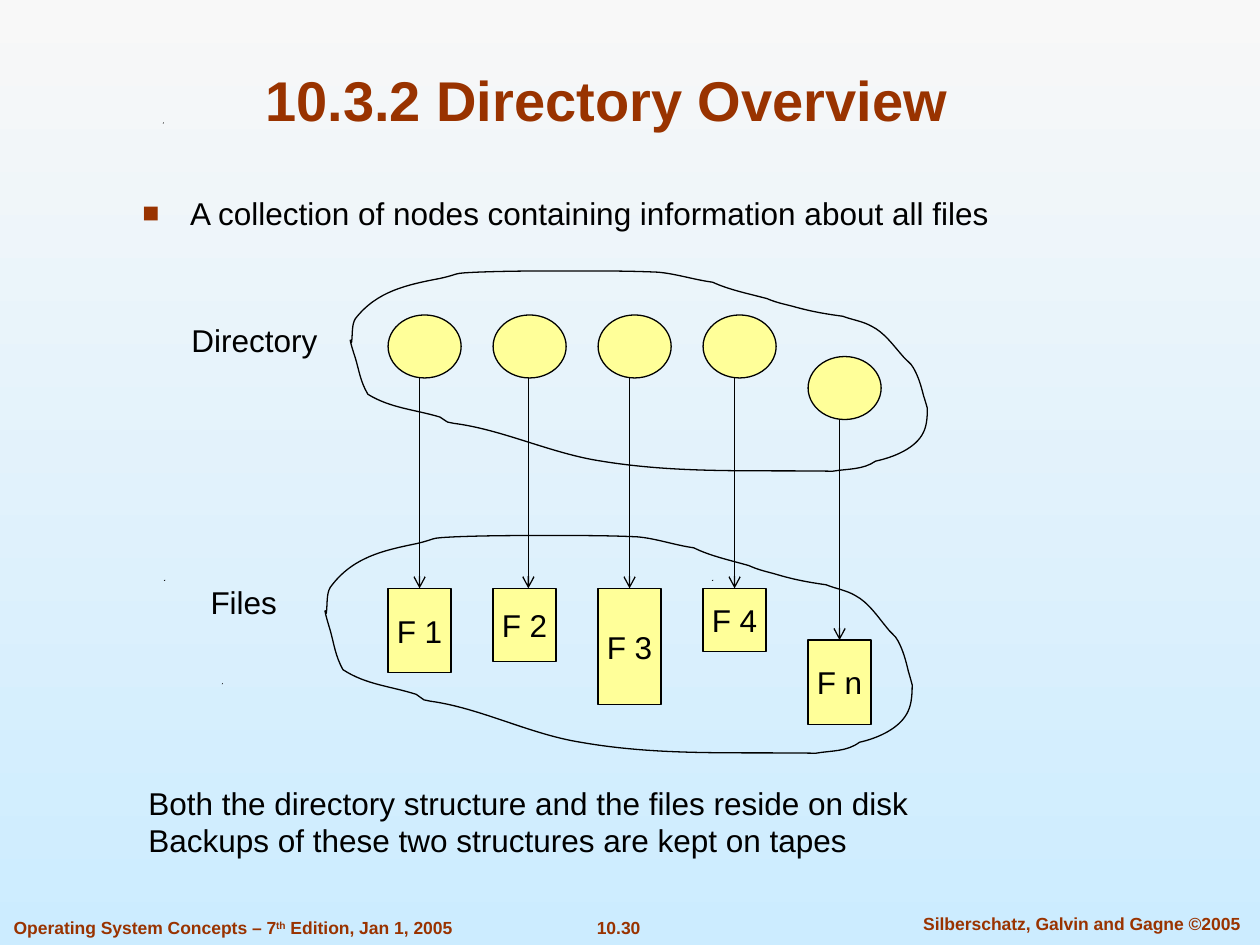
from lxml import etree
from pptx import Presentation
from pptx import util as u
from pptx.dml.color import RGBColor
from pptx.enum import shapes as sh, text as tx
from pptx.oxml import ns

RUST = RGBColor(0x99, 0x33, 0x00)
BLACK = RGBColor(0, 0, 0)
YELLOW = RGBColor(0xFF, 0xFF, 0x99)
PALE = RGBColor(0xF8, 0xF8, 0xF8)
SKY = RGBColor(0xCC, 0xEC, 0xFF)
STEP = 5 / 6
FILES = [("F 1", 0, 0.67, 0.25), ("F 2", 0, 0.58, 0.28), ("F 3", 0, 0.92, 0.25),
         ("F 4", 0, 0.5, 0.25), ("F n", 1, 0.67, 0.25)]
SPECKS = [(1.76, 5.42), (1.3, 4.6), (5.65, 4.6), (1.29, 0.97)]
START = (0.01, 0.57)
CURVES = [
    (0.02, 0.5, 0.01, 0.43, 0.04, 0.38), (0.21, 0.16, 0.45, 0.11, 0.71, 0.06),
    (0.89, 0.02, 0.79, 0.02, 1.01, 0.01), (1.26, 0, 1.51, 0, 1.77, 0),
    (1.99, 0, 2.21, 0, 2.43, 0.01), (2.57, 0.02, 2.72, 0.07, 2.87, 0.09),
    (3, 0.15, 3.15, 0.18, 3.3, 0.22), (3.37, 0.25, 3.42, 0.26, 3.5, 0.28),
    (3.64, 0.32, 3.75, 0.34, 3.9, 0.36), (3.98, 0.39, 4.06, 0.4, 4.13, 0.44),
    (4.23, 0.49, 4.3, 0.59, 4.37, 0.67), (4.4, 0.71, 4.44, 0.73, 4.46, 0.77),
    (4.5, 0.84, 4.52, 0.91, 4.54, 0.99), (4.55, 1.02, 4.57, 1.09, 4.57, 1.09),
    (4.57, 1.13, 4.57, 1.22, 4.54, 1.28), (4.48, 1.41, 4.3, 1.48, 4.16, 1.51),
    (4.06, 1.58, 3.94, 1.57, 3.82, 1.59), (3.18, 1.58, 2.6, 1.61, 1.99, 1.51),
    (1.59, 1.45, 1.21, 1.26, 0.82, 1.21), (0.8, 1.21, 0.79, 1.2, 0.77, 1.2),
    (0.75, 1.19, 0.73, 1.17, 0.71, 1.16), (0.51, 1.1, 0.32, 1.09, 0.14, 0.98),
    (0.08, 0.88, 0.07, 0.79, 0.04, 0.69), (0.04, 0.69, 0, 0.57, 0, 0.55),
    (0, 0.54, 0.01, 0.56, 0.01, 0.57)]


def place(shape, box):
    """Move a shape to a box given in inches."""
    shape.left, shape.top, shape.width, shape.height = map(u.Inches, box)


def style(font, size, color=BLACK, bold=False):
    """Set the look of a font."""
    font.name, font.size, font.bold = "Arial", u.Pt(size), bold
    font.color.rgb = color


def write(shape, lines, size, color=BLACK, bold=False, align=tx.PP_ALIGN.CENTER,
          wrap=False, anchor=tx.MSO_ANCHOR.MIDDLE):
    """Fill a shape with lines of one style."""
    frame = shape.text_frame
    frame.text = "\n".join(lines)
    frame.word_wrap, frame.vertical_anchor = wrap, anchor
    frame.auto_size = tx.MSO_AUTO_SIZE.NONE
    for para in frame.paragraphs:
        para.alignment = align
        for run in para.runs:
            style(run.font, size, color, bold)


def label(slide, box, lines, size=18, **look):
    """Add a text box."""
    item = slide.shapes.add_textbox(*map(u.Inches, box))
    write(item, lines, size, **look)
    return item


def edge(item):
    """Give a shape a thin black line."""
    item.line.color.rgb, item.line.width = BLACK, u.Pt(0.75)


def solid(slide, kind, box):
    """Add a yellow shape with a thin black edge."""
    item = slide.shapes.add_shape(kind, *map(u.Inches, box))
    item.shadow.inherit = False
    item.fill.solid()
    item.fill.fore_color.rgb = YELLOW
    edge(item)
    return item


def arrow(slide, x, top, end):
    """Add an arrow straight down."""
    item = slide.shapes.add_connector(
        sh.MSO_CONNECTOR.STRAIGHT, *map(u.Inches, (x, top, x, end)))
    edge(item)
    props = item._element.spPr
    etree.SubElement(props.find(ns.qn("a:ln")), ns.qn("a:tailEnd")).set("type", "arrow")
    etree.SubElement(props, ns.qn("a:effectLst"))


def outline(slide, points):
    """Add a closed freeform through points in inches."""
    spots = [(u.Inches(x), u.Inches(y)) for x, y in points]
    pen = slide.shapes.build_freeform(*spots[0])
    pen.add_line_segments(spots[1:], close=True)
    item = pen.convert_to_shape()
    item.shadow.inherit = False
    return item


def specks(slide, spots):
    """Add the tiny black specks of the backdrop."""
    for x, y in spots:
        item = outline(slide, [(x, y + 0.01), (x + 0.01, y), (x + 0.01, y + 0.01)])
        item.fill.solid()
        item.fill.fore_color.rgb = BLACK
        item.line.fill.background()


def cloud(slide, box):
    """Draw the curved cloud outline scaled to a box."""
    left, top, wide, high = box
    pairs = [START] + [c[i:i + 2] for c in CURVES for i in (0, 2, 4)]
    item = outline(slide, [(left + x * wide / 4.57, top + y * high / 1.61)
                           for x, y in pairs])
    legs = list(item._element.iter(ns.qn("a:lnTo")))
    for i in range(0, len(CURVES) * 3, 3):
        curve = etree.Element(ns.qn("a:cubicBezTo"))
        legs[i].addprevious(curve)
        for leg in legs[i:i + 3]:
            curve.append(leg[0])
            leg.getparent().remove(leg)
    item.fill.background()
    edge(item)


def heading(slide, box):
    """Fill the title."""
    title = slide.shapes.title
    place(title, box)
    write(title, ["10.3.2 Directory Overview"], 32, RUST, True, wrap=True,
          anchor=tx.MSO_ANCHOR.BOTTOM)


def bullets(slide, box):
    """Fill the body with its square bullet."""
    body = slide.placeholders[1]
    place(body, box)
    write(body, ["A collection of nodes containing information about all files"],
          18, align=tx.PP_ALIGN.LEFT, wrap=True, anchor=tx.MSO_ANCHOR.TOP)
    para = body.text_frame.paragraphs[0]
    props = para._p.get_or_add_pPr()
    props.set("marL", str(u.Inches(0.38)))
    props.set("indent", str(u.Inches(-0.38)))
    color = etree.SubElement(props, ns.qn("a:buClr"))
    etree.SubElement(color, ns.qn("a:srgbClr")).set("val", str(RUST))
    etree.SubElement(props, ns.qn("a:buSzPct")).set("val", "90000")
    etree.SubElement(props, ns.qn("a:buFont")).set("typeface", "Arial")
    etree.SubElement(props, ns.qn("a:buChar")).set("char", "■")
    para.line_spacing, para.space_before = 0.9, u.Pt(0)


def diagram(slide, box):
    """Draw directory nodes that point to files."""
    left, top, wide, high = box
    for i, (name, low, tall, shift) in enumerate(FILES):
        x = left + 0.5 + i * STEP
        node, file = top + 0.35 + low * 0.33, top + 2.52 + low * 0.41
        solid(slide, sh.MSO_SHAPE.OVAL, (x, node, 0.58, 0.5))
        card = solid(slide, sh.MSO_SHAPE.RECTANGLE, (x, file, 0.5, tall))
        write(card, [name], 18)
        arrow(slide, x + shift, node + 0.5, file)
    cloud(slide, (left + 0.2, top, wide - 0.2, 1.61))
    cloud(slide, (left, top + 2.1, wide - 0.12, high - 2.1))
    label(slide, (left - 1.16, top + 0.35, 1.2, 0.4), ["Directory"])
    label(slide, (left - 1.01, top + 2.43, 0.73, 0.4), ["Files"])


def footer(slide, box):
    """Write the book, page and author line."""
    left, top, wide, high = box
    look = dict(size=10, color=RUST, bold=True, anchor=tx.MSO_ANCHOR.TOP)
    book = label(slide, (left, top, 3.68, high),
                 ["Operating System Concepts – 7"], align=tx.PP_ALIGN.LEFT, **look)
    para = book.text_frame.paragraphs[0]
    for part in ("th", " Edition, Jan 1, 2005"):
        run = para.add_run()
        run.text = part
        style(run.font, 10, RUST, True)
    para.runs[1]._r.get_or_add_rPr().set("baseline", "30000")
    label(slide, (left + 4.37, top, 1.06, high), ["10.30"], **look)
    label(slide, (left + wide - 2.97, top - 0.03, 2.97, high),
          ["Silberschatz, Galvin and Gagne ©2005"], wrap=True, **look)


def main():
    """Build the slide and save it."""
    deck = Presentation()
    deck.slide_width, deck.slide_height = u.Inches(10), u.Inches(7.5)
    slide = deck.slides.add_slide(deck.slide_layouts[1])
    fill = slide.background.fill
    fill.gradient()
    fill.gradient_angle = 270
    for stop, color, spot in zip(fill.gradient_stops, (PALE, SKY), (0, 1)):
        stop.color.rgb, stop.position = color, spot
    specks(slide, SPECKS)
    heading(slide, (1.12, 0.54, 7.39, 0.56))
    bullets(slide, (1.03, 1.52, 7.2, 0.38))
    diagram(slide, (2.58, 2.15, 4.78, 3.85))
    label(slide, (1.08, 6.17, 7.69, 0.85),
          ["Both the directory structure and the files reside on disk",
           "Backups of these two structures are kept on tapes"],
          align=tx.PP_ALIGN.LEFT, wrap=True, anchor=tx.MSO_ANCHOR.TOP)
    footer(slide, (0.01, 7.23, 10.06, 0.27))
    deck.save("out.pptx")


if __name__ == "__main__":
    main()
